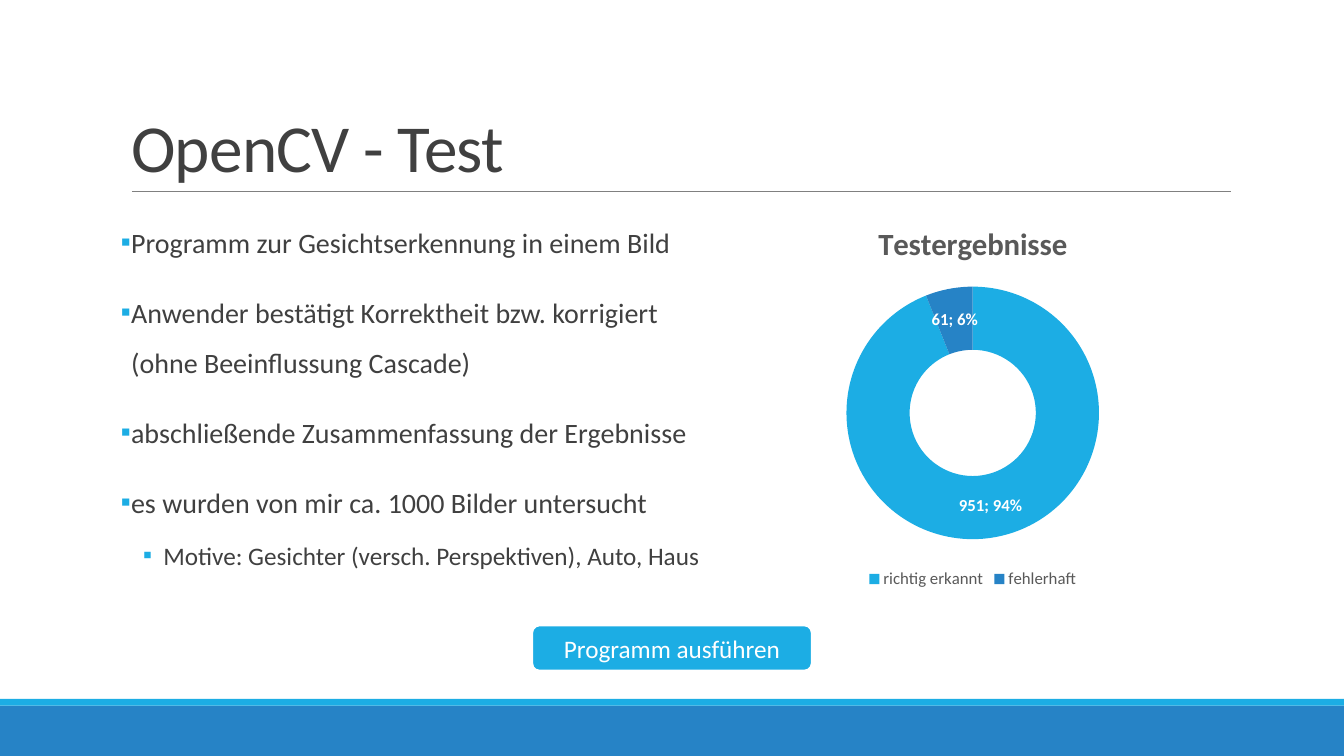
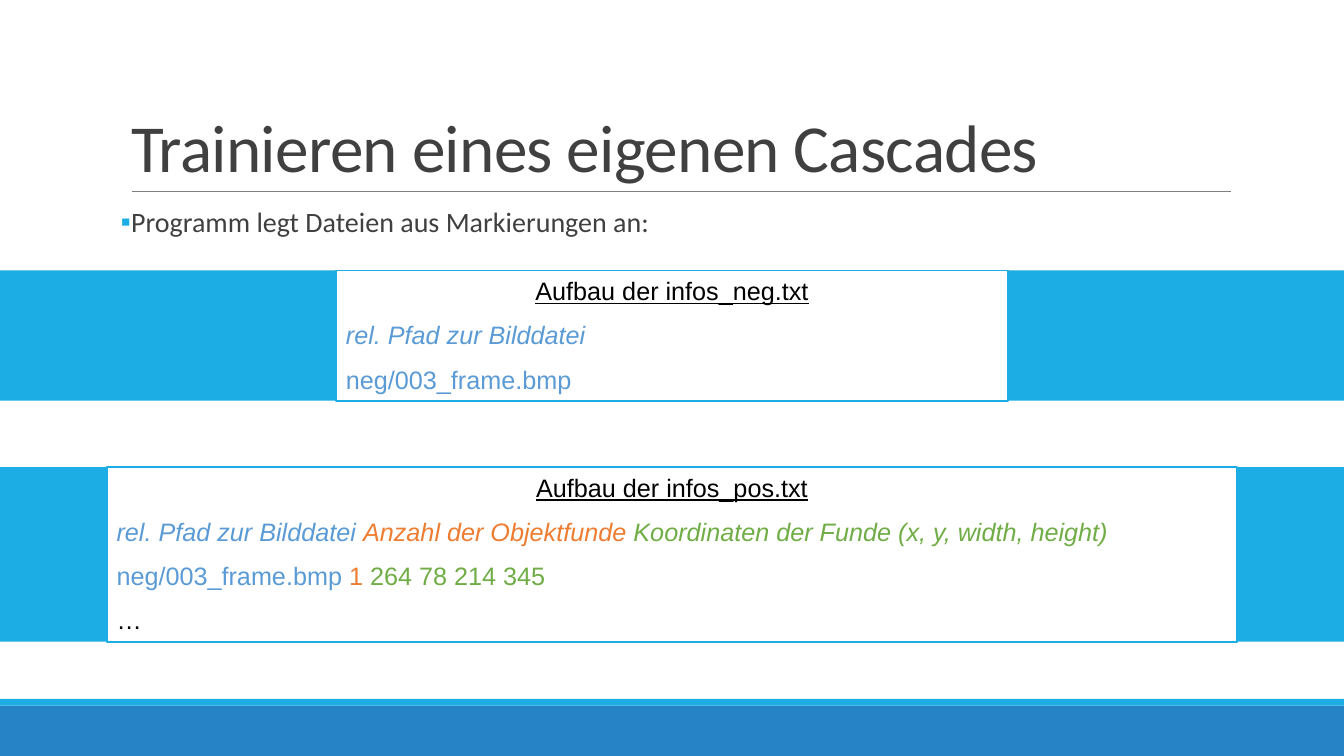
from dataclasses import dataclass

import lxml.etree
import pptx
import pptx.chart.data
import pptx.dml.color
import pptx.enum.chart
import pptx.enum.shapes
import pptx.enum.text
import pptx.oxml.ns
import pptx.shapes.autoshape
import pptx.shapes.base
import pptx.slide
import pptx.text.text
import pptx.util

RGBColor = pptx.dml.color.RGBColor
Align = pptx.enum.text.PP_ALIGN
Anchor = pptx.enum.text.MSO_ANCHOR
Preset = pptx.enum.shapes.MSO_SHAPE

CYAN = RGBColor(0x1C, 0xAD, 0xE4)
BLUE = RGBColor(0x26, 0x83, 0xC6)
WHITE = RGBColor(0xFF, 0xFF, 0xFF)
BLACK = RGBColor(0x00, 0x00, 0x00)
INK = RGBColor(0x40, 0x40, 0x40)
LABEL = RGBColor(0x59, 0x59, 0x59)
RULE = RGBColor(0x80, 0x80, 0x80)
FILE_COLOR = RGBColor(0x5B, 0x9B, 0xD5)
COUNT_COLOR = RGBColor(0xED, 0x7D, 0x31)
POSITION_COLOR = RGBColor(0x70, 0xAD, 0x47)

COLUMNS, ROWS = 160, 90
SLIDE_WIDTH = pptx.util.Inches(13.333)
SLIDE_HEIGHT = pptx.util.Inches(7.5)
LEFT, CONTENT_TOP, CONTENT_WIDTH = 14.4, 24.2, 132
LIST_WIDTH = 70.8


@dataclass(frozen=True)
class Area:
    column: float
    row: float
    columns: float
    rows: float

    def lengths(self) -> tuple[int, int, int, int]:
        return (across(self.column), down(self.row), across(self.columns), down(self.rows))


@dataclass(frozen=True)
class Bullet:
    text: str
    level: int = 0


@dataclass(frozen=True)
class Piece:
    text: str
    color: RGBColor


@dataclass(frozen=True)
class FileLine:
    pieces: tuple[Piece, ...]
    italic: bool = False


@dataclass(frozen=True)
class FileLayout:
    heading: str
    row: float
    columns: float
    rows: float
    lines: tuple[FileLine, ...]


@dataclass(frozen=True)
class BulletStyle:
    size: float
    margin: float
    hanging: float
    before: float
    after: float


BULLET_STYLES = (BulletStyle(20, 0.1, 0.1, 12, 2), BulletStyle(18, 0.42, 0.2, 2, 4))

TEST_BULLETS = (
    Bullet("Programm zur Gesichtserkennung in einem Bild"),
    Bullet("Anwender bestätigt Korrektheit bzw. korrigiert (ohne Beeinflussung Cascade)"),
    Bullet("abschließende Zusammenfassung der Ergebnisse"),
    Bullet("es wurden von mir ca. 1000 Bilder untersucht"),
    Bullet("Motive: Gesichter (versch. Perspektiven), Auto, Haus", level=1),
)

FILE_LAYOUTS = (
    FileLayout("Aufbau der infos_neg.txt", 32.2, 80, 15.5, (
        FileLine((Piece("rel. Pfad zur Bilddatei", FILE_COLOR),), italic=True),
        FileLine((Piece("neg/003_frame.bmp", FILE_COLOR),)),
    )),
    FileLayout("Aufbau der infos_pos.txt", 55.6, 134.6, 20.8, (
        FileLine((
            Piece("rel. Pfad zur Bilddatei ", FILE_COLOR),
            Piece("Anzahl der Objektfunde ", COUNT_COLOR),
            Piece("Koordinaten der Funde (x, y, width, height)", POSITION_COLOR),
        ), italic=True),
        FileLine((
            Piece("neg/003_frame.bmp ", FILE_COLOR),
            Piece("1 ", COUNT_COLOR),
            Piece("264 78 214 345", POSITION_COLOR),
        )),
        FileLine((Piece("…", BLACK),)),
    )),
)


def across(columns: float) -> int:
    return round(SLIDE_WIDTH * columns / COLUMNS)


def down(rows: float) -> int:
    return round(SLIDE_HEIGHT * rows / ROWS)


def centered(row: float, columns: float, rows: float) -> Area:
    return Area((COLUMNS - columns) / 2, row, columns, rows)


def set_font(font: pptx.text.text.Font, size: float, color: RGBColor,
             name: str = "Calibri", bold: bool = False) -> None:
    font.size = pptx.util.Pt(size)
    font.color.rgb = color
    font.name = name
    font.bold = bold


def add_span(para: pptx.text.text._Paragraph, text: str, *, size: float, color: RGBColor,
             name: str = "Calibri", bold: bool = False, italic: bool = False,
             underline: bool = False, tracking: float = 0) -> None:
    span = para.add_run()
    span.text = text
    set_font(span.font, size, color, name, bold)
    span.font.italic = italic
    span.font.underline = underline
    if tracking:
        span.font._element.set("spc", str(round(tracking * 100)))


def next_para(frame: pptx.text.text.TextFrame, index: int) -> pptx.text.text._Paragraph:
    return frame.add_paragraph() if index else frame.paragraphs[0]


def place(shape: pptx.shapes.base.BaseShape, area: Area) -> None:
    shape.left, shape.top, shape.width, shape.height = area.lengths()


def add_box(page: pptx.slide.Slide, area: Area, fill: RGBColor, line: RGBColor | None = None,
            line_width: float = 0,
            preset: Preset = Preset.RECTANGLE) -> pptx.shapes.autoshape.Shape:
    box = page.shapes.add_shape(preset, *area.lengths())
    box.shadow.inherit = False
    box.fill.solid()
    box.fill.fore_color.rgb = fill
    if line is None:
        box.line.fill.background()
    else:
        box.line.color.rgb = line
        box.line.width = pptx.util.Pt(line_width)
    return box


def add_title(page: pptx.slide.Slide, text: str) -> None:
    title = page.shapes.title
    place(title, Area(LEFT, 3.7, CONTENT_WIDTH, 19.1))
    frame = title.text_frame
    frame.auto_size = pptx.enum.text.MSO_AUTO_SIZE.NONE
    frame.vertical_anchor = Anchor.BOTTOM
    para = frame.paragraphs[0]
    para.alignment = Align.LEFT
    para.line_spacing = 0.85
    add_span(para, text, size=48, color=INK, tracking=-0.5)


def add_page(deck: pptx.presentation.Presentation, title: str) -> pptx.slide.Slide:
    page = deck.slides.add_slide(deck.slide_layouts[1])
    add_box(page, Area(0, 84, COLUMNS, 6), BLUE)
    add_box(page, Area(0, 83.2, COLUMNS, 0.8), CYAN)
    rule = page.shapes.add_connector(pptx.enum.shapes.MSO_CONNECTOR.STRAIGHT, across(15.7),
                                     down(22.8), across(146.5), down(22.8))
    rule.line.color.rgb = RULE
    rule.line.width = pptx.util.Pt(0.5)
    lxml.etree.SubElement(rule._element.spPr, pptx.oxml.ns.qn("a:effectLst"))
    add_title(page, title)
    return page


def set_bullet(para: pptx.text.text._Paragraph, style: BulletStyle) -> None:
    properties = para._p.get_or_add_pPr()
    properties.set("marL", str(pptx.util.Inches(style.margin)))
    properties.set("indent", str(-pptx.util.Inches(style.hanging)))
    color = lxml.etree.SubElement(properties, pptx.oxml.ns.qn("a:buClr"))
    lxml.etree.SubElement(color, pptx.oxml.ns.qn("a:srgbClr"), val=str(CYAN))
    lxml.etree.SubElement(properties, pptx.oxml.ns.qn("a:buFont"), typeface="Calibri")
    lxml.etree.SubElement(properties, pptx.oxml.ns.qn("a:buChar"), char="▪")


def fill_list(page: pptx.slide.Slide, area: Area, bullets: tuple[Bullet, ...],
              line_spacing: float) -> None:
    body = page.placeholders[1]
    place(body, area)
    frame = body.text_frame
    frame.auto_size = pptx.enum.text.MSO_AUTO_SIZE.NONE
    frame.margin_left = frame.margin_right = 0
    for index, bullet in enumerate(bullets):
        style = BULLET_STYLES[bullet.level]
        para = next_para(frame, index)
        para.level = bullet.level
        para.line_spacing = line_spacing
        para.space_before = pptx.util.Pt(style.before)
        para.space_after = pptx.util.Pt(style.after)
        set_bullet(para, style)
        add_span(para, bullet.text, size=style.size, color=INK)


def add_results_chart(page: pptx.slide.Slide, area: Area) -> None:
    results = pptx.chart.data.CategoryChartData()
    results.categories = ("richtig erkannt", "fehlerhaft")
    results.add_series("Testergebnisse", (951, 61))
    chart = page.shapes.add_chart(pptx.enum.chart.XL_CHART_TYPE.DOUGHNUT, *area.lengths(),
                                  results).chart
    set_font(chart.font, 10, BLACK)
    chart.has_title = True
    add_span(chart.chart_title.text_frame.paragraphs[0], "Testergebnisse", size=22,
             color=LABEL, bold=True)
    chart.chart_title.include_in_layout = False
    chart.has_legend = True
    chart.legend.position = pptx.enum.chart.XL_LEGEND_POSITION.BOTTOM
    chart.legend.include_in_layout = False
    set_font(chart.legend.font, 12, LABEL)
    plot = chart.plots[0]
    plot.vary_by_categories = True
    plot._element.find(pptx.oxml.ns.qn("c:holeSize")).set("val", "70")
    series = plot.series[0]
    for index, color in enumerate((CYAN, BLUE)):
        fill = series.points[index].format.fill
        fill.solid()
        fill.fore_color.rgb = color
    labels = series.data_labels
    labels.show_value = True
    labels.show_percentage = True
    set_font(labels.font, 12, WHITE, bold=True)


def add_button(page: pptx.slide.Slide, text: str) -> None:
    button = add_box(page, centered(74.4, 33.4, 5.5), CYAN, WHITE, 2, Preset.ROUNDED_RECTANGLE)
    button.text_frame.vertical_anchor = Anchor.MIDDLE
    para = button.text_frame.paragraphs[0]
    para.alignment = Align.CENTER
    add_span(para, text, size=18, color=WHITE)


def add_file_layout(page: pptx.slide.Slide, layout: FileLayout) -> None:
    add_box(page, Area(0, layout.row, COLUMNS, layout.rows), CYAN)
    box = add_box(page, centered(layout.row, layout.columns, layout.rows), WHITE, CYAN, 1.25)
    frame = box.text_frame
    frame.word_wrap = True
    frame.vertical_anchor = Anchor.TOP
    heading = frame.paragraphs[0]
    heading.alignment = Align.CENTER
    heading.space_after = pptx.util.Pt(10)
    add_span(heading, layout.heading, size=18, color=BLACK, name="Arial", underline=True)
    for line in layout.lines:
        para = frame.add_paragraph()
        para.alignment = Align.JUSTIFY
        para.space_after = pptx.util.Pt(10)
        for piece in line.pieces:
            add_span(para, piece.text, size=18, color=piece.color, name="Arial",
                     italic=line.italic)


def main() -> None:
    deck = pptx.Presentation()
    deck.slide_width, deck.slide_height = SLIDE_WIDTH, SLIDE_HEIGHT

    test_page = add_page(deck, "OpenCV - Test")
    fill_list(test_page, Area(LEFT, CONTENT_TOP, LIST_WIDTH, 55.8), TEST_BULLETS, 1.5)
    add_results_chart(test_page, Area(LEFT + LIST_WIDTH, CONTENT_TOP,
                                      CONTENT_WIDTH - LIST_WIDTH, 46.4))
    add_button(test_page, "Programm ausführen")

    training_page = add_page(deck, "Trainieren eines eigenen Cascades")
    fill_list(training_page, Area(LEFT, CONTENT_TOP, CONTENT_WIDTH, 5.2),
              (Bullet("Programm legt Dateien aus Markierungen an:"),), 0.9)
    for layout in FILE_LAYOUTS:
        add_file_layout(training_page, layout)

    deck.save("out.pptx")


if __name__ == "__main__":
    main()
